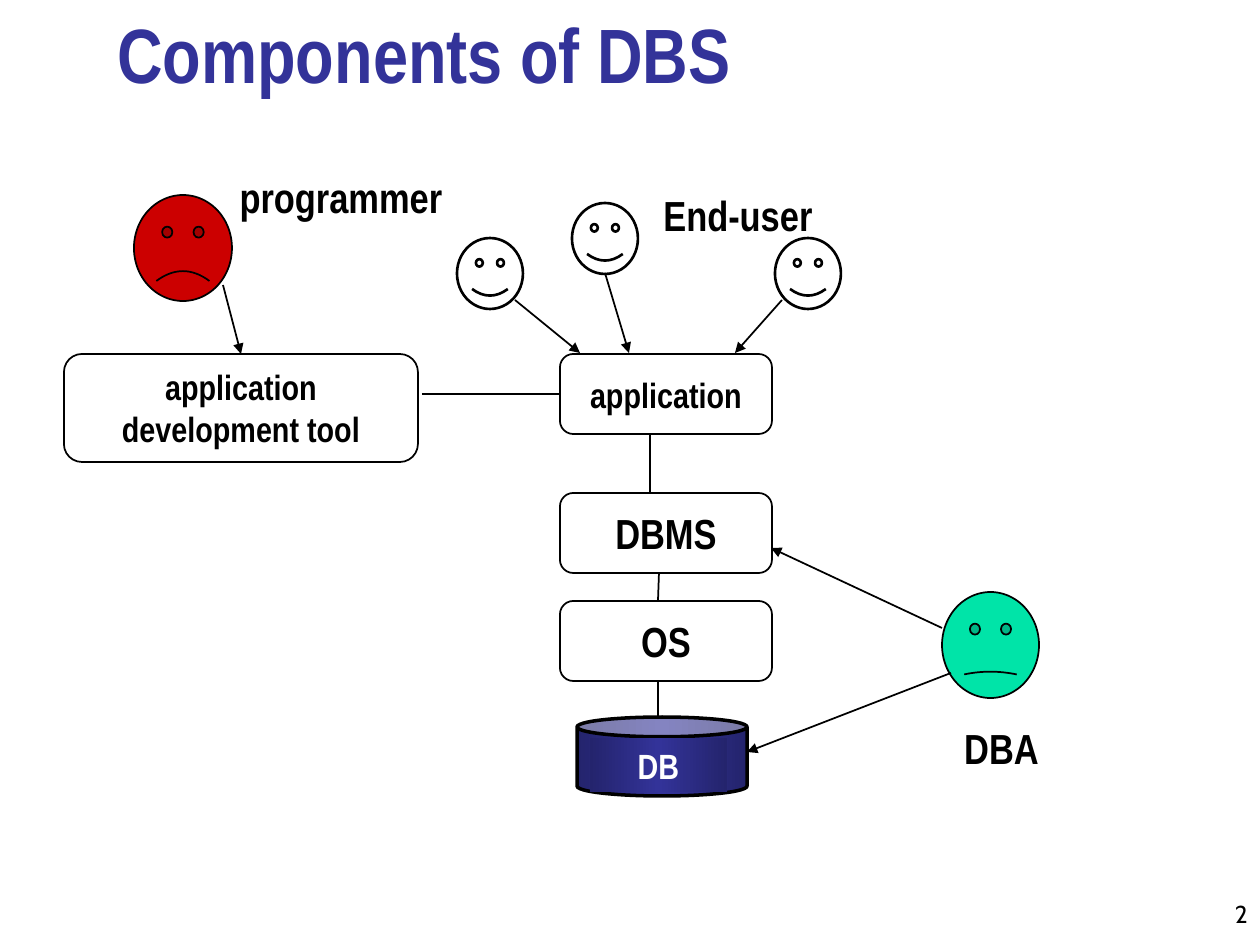
from copy import deepcopy
from lxml import etree
from pptx import Presentation
from pptx.dml.color import RGBColor
from pptx.enum.shapes import MSO_CONNECTOR, MSO_SHAPE
from pptx.enum.text import MSO_ANCHOR, PP_ALIGN
from pptx.oxml.ns import qn
from pptx.util import Pt

SCALE = 914400 / 126
FACE, ROUND = MSO_SHAPE.SMILEY_FACE, MSO_SHAPE.ROUNDED_RECTANGLE
CAN, RECT = MSO_SHAPE.CAN, MSO_SHAPE.RECTANGLE
LINE = MSO_CONNECTOR.STRAIGHT
LEFT, MID, RIGHT = PP_ALIGN.LEFT, PP_ALIGN.CENTER, PP_ALIGN.RIGHT
TOP, CENTER, BASE = MSO_ANCHOR.TOP, MSO_ANCHOR.MIDDLE, MSO_ANCHOR.BOTTOM
COLORS = {"ink": "000000", "white": "FFFFFF", "title": "333399",
          "edge": "24246D", "red": "CC0000", "green": "00E4A8"}


def px(*vals):
    return [round(v * SCALE) for v in vals]


def rgb(name):
    return RGBColor.from_string(COLORS[name])


class Board:
    def __init__(self, slide):
        self.slide = slide
        self.font = {"name": "Arial Narrow", "bold": True}

    def text(self, shape, words, size, color="ink", align=MID,
             anchor=CENTER, wrap=False, **style):
        frame = shape.text_frame
        frame.word_wrap = wrap
        frame.vertical_anchor = anchor
        para = frame.paragraphs[0]
        para.alignment = align
        run = para.add_run()
        run.text = words
        for key, val in {**self.font, "size": Pt(size), **style}.items():
            setattr(run.font, key, val)
        run.font.color.rgb = rgb(color)

    def label(self, box, words, size, **style):
        shape = self.slide.shapes.add_textbox(*px(*box))
        self.text(shape, words, size, **{"anchor": TOP, **style})

    def shape(self, kind, box, width=1, fill=None, adj=None):
        shape = self.slide.shapes.add_shape(kind, *px(*box))
        shape.shadow.inherit = False
        if adj is not None:
            shape.adjustments[0] = adj
        if fill:
            shape.fill.solid()
            shape.fill.fore_color.rgb = rgb(fill)
        else:
            shape.fill.background()
        if width:
            shape.line.width = Pt(width)
            shape.line.color.rgb = rgb("ink")
        else:
            shape.line.fill.background()
        return shape

    def shade(self, shape):
        fill = shape.fill
        fill.gradient()
        fill.gradient_angle = 0
        for stop, name, pos in zip(fill.gradient_stops, ("edge", "title"), (0, 0.5)):
            stop.color.rgb = rgb(name)
            stop.position = pos
        stops = shape.element.spPr.find(".//" + qn("a:gsLst"))
        last = deepcopy(stops[0])
        last.set("pos", "100000")
        stops.append(last)

    def block(self, box, words, size, wrap=False):
        shape = self.shape(ROUND, box)
        self.text(shape, words, size, wrap=wrap)
        return shape

    def line(self, ends, arrow=False, goal=None, site=0):
        line = self.slide.shapes.add_connector(LINE, *px(*ends))
        line.line.width = Pt(1)
        line.line.color.rgb = rgb("ink")
        props = line.element.spPr
        if arrow:
            etree.SubElement(props.find(qn("a:ln")), qn("a:tailEnd"), type="triangle")
        etree.SubElement(props, qn("a:effectLst"))
        if goal is not None:
            line.end_connect(goal, site)


def main():
    deck = Presentation()
    deck.slide_width, deck.slide_height = px(1260, 945)
    board = Board(deck.slides.add_slide(deck.slide_layouts[6]))

    board.label((1176, 872, 84, 63), "2", 14, align=RIGHT, anchor=BASE,
                wrap=True, name="Cabin", bold=False)
    board.label((105, 10, 1074, 95), "Components of DBS", 44, color="title",
                align=LEFT, anchor=BASE, wrap=True)

    store = board.shape(CAN, (577, 717, 170, 79), width=2, adj=0.25)
    plate = board.shape(RECT, (590, 738, 137, 54), width=0)
    for part in (store, plate):
        board.shade(part)
    board.text(plate, "DB", 20, color="white", anchor=TOP, wrap=True)

    for left, top in ((457, 238), (572, 203), (775, 238)):
        board.shape(FACE, (left, top, 66, 71), width=1.5, adj=0.047)
    board.shape(FACE, (134, 195, 98, 106), fill="red", adj=-0.047)
    board.shape(FACE, (942, 592, 97, 106), fill="green", adj=-0.013)

    app = board.block((560, 354, 212, 80), "application", 20)
    tool = board.block((64, 354, 354, 108), "application development tool", 20, wrap=True)
    for top, words in ((493, "DBMS"), (601, "OS")):
        board.block((560, top, 212, 80), words, 24)

    board.line((422, 394, 560, 394), goal=app, site=1)
    board.line((223, 285, 241, 354), arrow=True, goal=tool)
    for ends in ((650, 434, 650, 493), (659, 573, 658, 601), (658, 681, 658, 717)):
        board.line(ends)
    for ends in ((515, 300, 580, 353), (605, 273, 629, 353), (782, 300, 735, 353),
                 (951, 673, 747, 752), (942, 628, 771, 548)):
        board.line(ends, arrow=True)

    board.label((651, 183, 175, 63), "End-user", 24, align=LEFT)
    board.label((951, 716, 101, 63), "DBA", 24)
    board.label((227, 165, 228, 63), "programmer", 24)
    deck.save("out.pptx")


if __name__ == "__main__":
    main()
